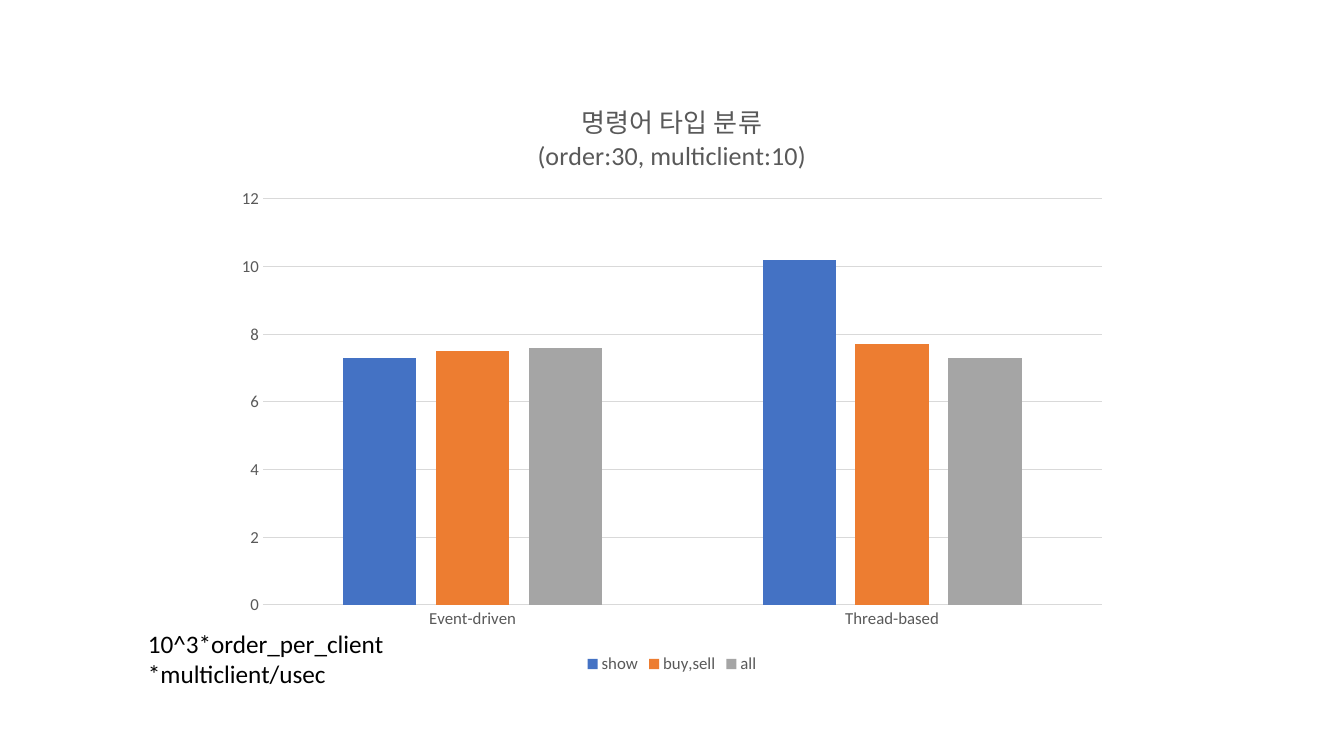
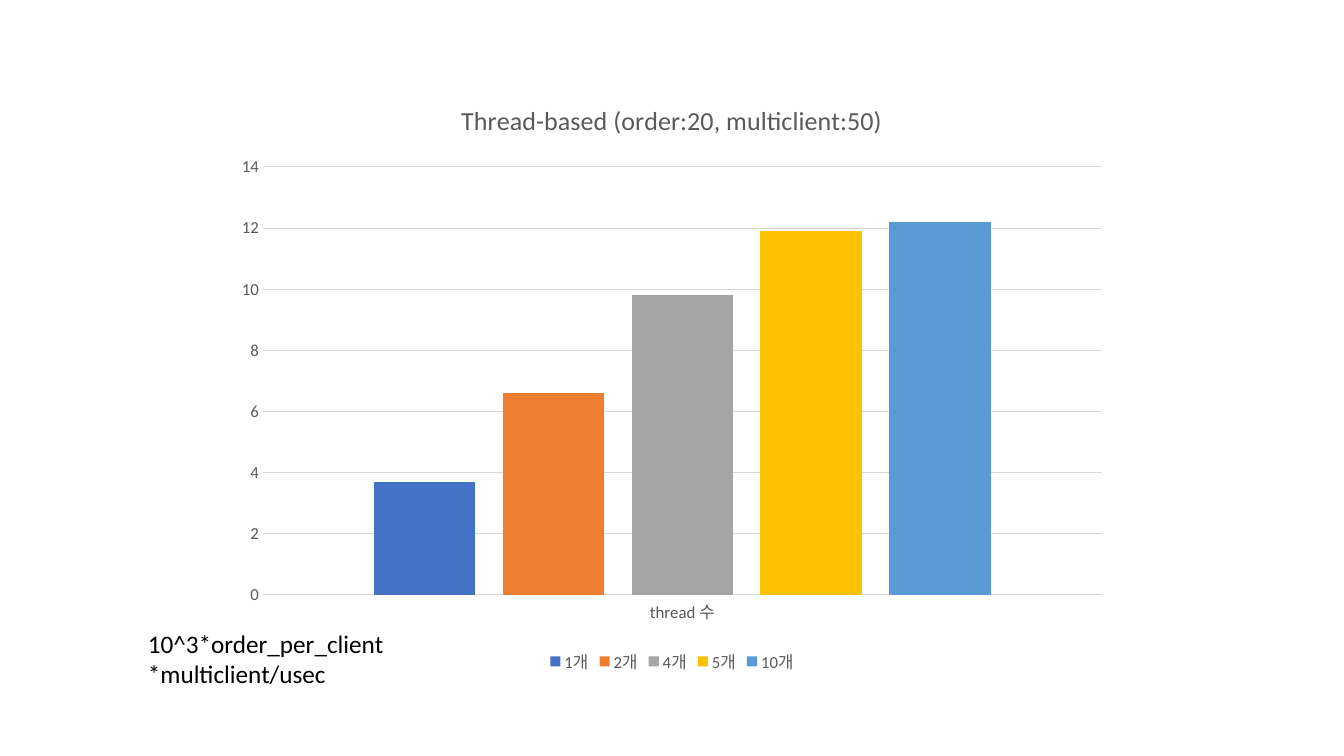
import pptx
import pptx.chart.data
import pptx.dml.color
import pptx.enum.chart
import pptx.enum.text
import pptx.oxml
import pptx.oxml.ns
import pptx.util

PX = 914400 / 100.8
FONT = "Calibri"

BLACK = pptx.dml.color.RGBColor(0x00, 0x00, 0x00)
LABEL_GRAY = pptx.dml.color.RGBColor(0x59, 0x59, 0x59)
RULE_GRAY = pptx.dml.color.RGBColor(0xD9, 0xD9, 0xD9)
SERIES_COLORS = (
    pptx.dml.color.RGBColor(0x44, 0x72, 0xC4),
    pptx.dml.color.RGBColor(0xED, 0x7D, 0x31),
    pptx.dml.color.RGBColor(0xA5, 0xA5, 0xA5),
    pptx.dml.color.RGBColor(0xFF, 0xC0, 0x00),
    pptx.dml.color.RGBColor(0x5B, 0x9B, 0xD5),
)

SLIDE_WIDTH, SLIDE_HEIGHT = 1344, 756
CHART_BOX = (224, 80, 896, 598)
PLOT_LEFT, PLOT_RIGHT = 263, 1102
UNIT_BOX = (138, 623, 259, 72)
UNIT_TEXT = "10^3*order_per_client*multiclient/usec"

BENCHMARKS = (
    {
        "title": ("명령어 타입 분류", "(order:30, multiclient:10)"),
        "categories": ("Event-driven", "Thread-based"),
        "series": {
            "show": (7.3, 10.2),
            "buy,sell": (7.5, 7.7),
            "all": (7.6, 7.3),
        },
        "maximum": 12,
        "plot_rows": (199, 605),
    },
    {
        "title": ("Thread-based (order:20, multiclient:50)",),
        "categories": ("thread 수",),
        "series": {
            "1개": (3.7,),
            "2개": (6.6,),
            "4개": (9.8,),
            "5개": (11.9,),
            "10개": (12.2,),
        },
        "maximum": 14,
        "plot_rows": (167, 595),
    },
)


def emu(*lengths):
    return [pptx.util.Emu(round(length * PX)) for length in lengths]


def style_font(font, size, color):
    font.name = FONT
    font.size = pptx.util.Pt(size)
    font.bold = False
    font.color.rgb = color


def style_rule(line):
    line.color.rgb = RULE_GRAY
    line.width = pptx.util.Pt(0.75)


def write_chart_title(chart, lines):
    chart.has_title = True
    frame = chart.chart_title.text_frame
    for index, line in enumerate(lines):
        paragraph = frame.add_paragraph() if index else frame.paragraphs[0]
        run = paragraph.add_run()
        run.text = line
        style_font(run.font, 18.6, LABEL_GRAY)


def style_axes(chart, maximum):
    for axis in (chart.category_axis, chart.value_axis):
        axis.major_tick_mark = pptx.enum.chart.XL_TICK_MARK.NONE
        axis.minor_tick_mark = pptx.enum.chart.XL_TICK_MARK.NONE
        style_font(axis.tick_labels.font, 12, LABEL_GRAY)
    style_rule(chart.category_axis.format.line)
    values = chart.value_axis
    values.format.line.fill.background()
    values.has_major_gridlines = True
    style_rule(values.major_gridlines.format.line)
    values.minimum_scale = 0
    values.maximum_scale = maximum
    values.major_unit = 2


def place_plot(chart, top, bottom):
    left, chart_top, width, height = CHART_BOX
    fractions = {
        "x": (PLOT_LEFT - left) / width,
        "y": (top - chart_top) / height,
        "w": (PLOT_RIGHT - PLOT_LEFT) / width,
        "h": (bottom - top) / height,
    }
    modes = "".join(f'<c:{key}Mode val="edge"/>' for key in "xy")
    sizes = "".join(
        f'<c:{key} val="{value:.4f}"/>' for key, value in fractions.items()
    )
    layout = pptx.oxml.parse_xml(
        f'<c:layout {pptx.oxml.ns.nsdecls("c")}><c:manualLayout>'
        f'<c:layoutTarget val="inner"/>{modes}{sizes}'
        "</c:manualLayout></c:layout>"
    )
    plot_area = chart.element.find(".//" + pptx.oxml.ns.qn("c:plotArea"))
    for automatic in plot_area.findall(pptx.oxml.ns.qn("c:layout")):
        plot_area.remove(automatic)
    plot_area.insert(0, layout)


def add_benchmark_chart(slide, benchmark):
    data = pptx.chart.data.CategoryChartData()
    data.categories = benchmark["categories"]
    for name, values in benchmark["series"].items():
        data.add_series(name, values)
    chart = slide.shapes.add_chart(
        pptx.enum.chart.XL_CHART_TYPE.COLUMN_CLUSTERED, *emu(*CHART_BOX), data
    ).chart
    style_font(chart.font, 10, BLACK)
    write_chart_title(chart, benchmark["title"])
    style_axes(chart, benchmark["maximum"])
    place_plot(chart, *benchmark["plot_rows"])

    columns = chart.plots[0]
    columns.gap_width = 219
    columns.overlap = -27
    columns.vary_by_categories = False
    for series, color in zip(columns.series, SERIES_COLORS):
        series.format.fill.solid()
        series.format.fill.fore_color.rgb = color

    chart.has_legend = True
    chart.legend.position = pptx.enum.chart.XL_LEGEND_POSITION.BOTTOM
    chart.legend.include_in_layout = False
    style_font(chart.legend.font, 12, LABEL_GRAY)


def add_unit_note(slide):
    frame = slide.shapes.add_textbox(*emu(*UNIT_BOX)).text_frame
    frame.word_wrap = True
    frame.auto_size = pptx.enum.text.MSO_AUTO_SIZE.SHAPE_TO_FIT_TEXT
    run = frame.paragraphs[0].add_run()
    run.text = UNIT_TEXT
    style_font(run.font, 18, BLACK)


def main():
    deck = pptx.Presentation()
    deck.slide_width, deck.slide_height = emu(SLIDE_WIDTH, SLIDE_HEIGHT)
    blank_layout = deck.slide_layouts[6]
    for benchmark in BENCHMARKS:
        slide = deck.slides.add_slide(blank_layout)
        add_benchmark_chart(slide, benchmark)
        add_unit_note(slide)
    deck.save("out.pptx")


if __name__ == "__main__":
    main()
